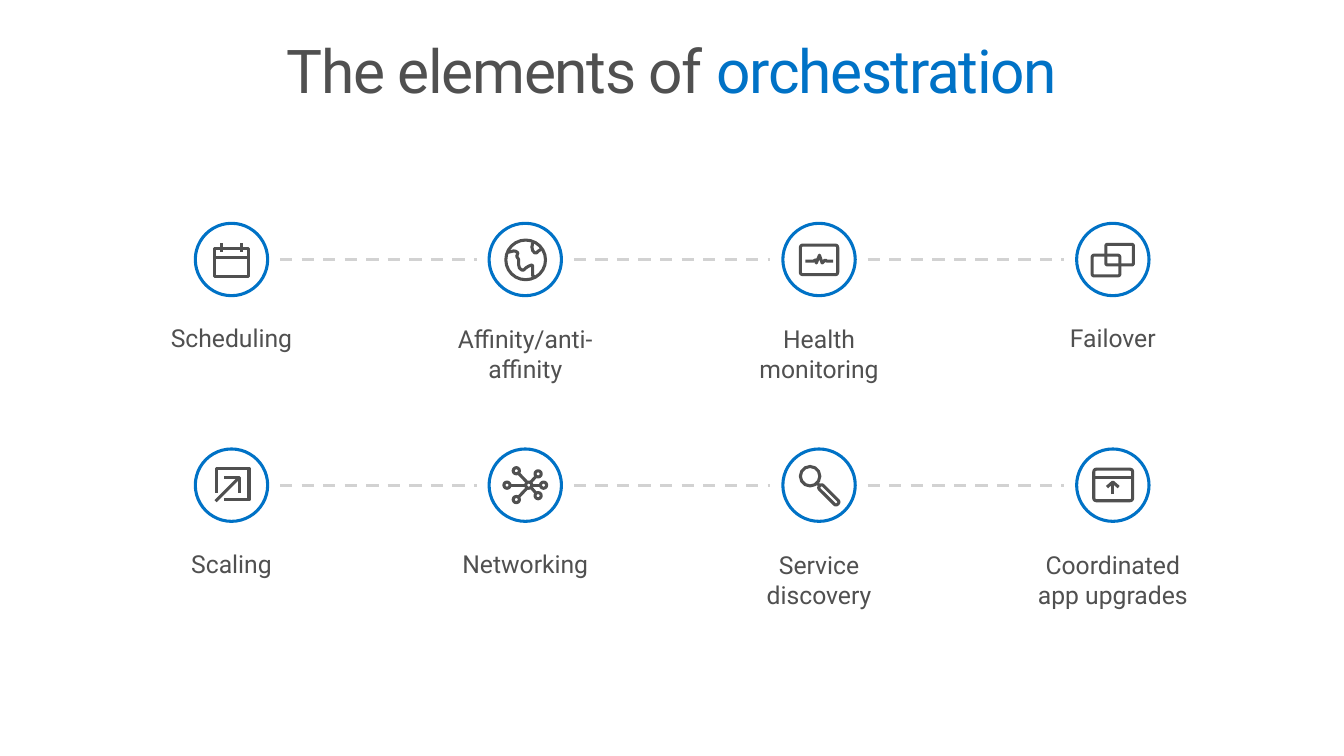
import pptx
import pptx.dml.color
import pptx.enum.dml
import pptx.enum.shapes
import pptx.enum.text
import pptx.util
from lxml import etree

Cm = pptx.util.Cm
rgb = pptx.dml.color.RGBColor.from_string
SHAPES = pptx.enum.shapes.MSO_SHAPE
GRAY, BLUE, PALE = "505050", "0072C6", "D2D2D2"
FIRST_X, PITCH_X = 5.95, 7.55
FIRST_Y, PITCH_Y = 6.67, 5.8
DIAMETER = 1.86
LINE_GAP = 1.25


def add_text(runs, left, top, width, height, size, inset_y=0.41, line_spacing=1, tracking=0):
    """Add a centred text box; runs is a list of (text, colour)."""
    box = slide.shapes.add_textbox(Cm(left), Cm(top), Cm(width), Cm(height))
    frame = box.text_frame
    frame.word_wrap = True
    frame.margin_left = frame.margin_right = Cm(0.41)
    frame.margin_top = frame.margin_bottom = Cm(inset_y)
    paragraph = frame.paragraphs[0]
    paragraph.alignment = pptx.enum.text.PP_ALIGN.CENTER
    paragraph.line_spacing = line_spacing
    for text, color in runs:
        run = paragraph.add_run()
        run.text = text
        run.font.name = "Roboto"
        run.font.size = pptx.util.Pt(size)
        run.font.color.rgb = rgb(color)
        if tracking:
            run.font._element.set("spc", str(tracking))


def set_outline(shape, color, dash=None):
    """Give a shape or connector a plain line without shadow."""
    shape.line.color.rgb = rgb(color)
    shape.line.width = pptx.util.Pt(2.25)
    if dash:
        shape.line.dash_style = dash
    properties = shape._element.spPr
    etree.SubElement(properties, pptx.oxml.ns.qn("a:effectLst"))


# Icon parts are in cm from the circle's centre:
# boxes are (preset, left, top, width, height, rotation), strokes are lists of points.
calendar = [
    (SHAPES.RECTANGLE, -0.43, -0.29, 0.86, 0.74, 0),
    [(-0.25, -0.42), (-0.25, -0.19)],
    [(0.25, -0.42), (0.25, -0.19)],
    [(-0.43, -0.06), (0.43, -0.06)],
]
globe = [
    (SHAPES.OVAL, -0.5, -0.5, 1.02, 1.02, 0),
    [(0.24, 0.44), (0.19, 0.42), (0.19, 0.17), (0.17, 0.14), (0.09, 0.17), (0.01, 0.22),
     (-0.04, 0.27), (-0.09, 0.27), (-0.15, 0.22), (-0.17, 0.14), (-0.17, 0), (-0.22, -0.08),
     (-0.19, -0.17), (-0.24, -0.21), (-0.3, -0.22), (-0.42, -0.19), (-0.44, -0.24)],
    [(0.42, -0.27), (0.34, -0.22), (0.29, -0.17), (0.24, -0.17), (0.19, -0.23),
     (0.17, -0.32), (0.19, -0.42), (0.17, -0.44)],
]
monitor = [
    (SHAPES.ROUNDED_RECTANGLE, -0.48, -0.37, 0.96, 0.76, 0),
    [(-0.35, 0.04), (-0.14, 0.04), (-0.09, 0.01), (-0.07, 0.09), (0.01, -0.11),
     (0.08, 0.09), (0.16, 0.01), (0.19, 0.04), (0.36, 0.04)],
]
windows = [
    (SHAPES.ROUNDED_RECTANGLE, -0.18, -0.39, 0.71, 0.53, 0),
    (SHAPES.ROUNDED_RECTANGLE, -0.53, -0.11, 0.71, 0.53, 0),
]
scale_arrow = [
    [(0.2, 0.2), (0.2, -0.2), (-0.2, -0.2)],
    [(-0.19, 0.38), (0.45, 0.38), (0.45, -0.43), (-0.39, -0.43), (-0.39, 0.2)],
    [(0.2, -0.2), (-0.41, 0.41)],
]
node_centers = [(0.09, 0), (0.47, 0), (-0.47, 0),
                (0.33, 0.27), (-0.23, 0.37), (0.33, -0.29), (-0.23, -0.37)]
network = [(SHAPES.OVAL, x - 0.08, y - 0.08, 0.16, 0.16, 0) for x, y in node_centers] + [
    [(0.39, 0), (0.17, 0)],
    [(0.01, 0), (-0.39, 0)],
    [(-0.17, 0.3), (0.04, 0.08)],
    [(0.14, 0.05), (0.27, 0.2)],
    [(-0.17, -0.3), (0.04, -0.08)],
    [(0.14, -0.08), (0.28, -0.23)],
]
magnifier = [
    (SHAPES.OVAL, -0.48, -0.48, 0.5, 0.5, 0),
    (SHAPES.ROUNDED_RECTANGLE, -0.08, 0.18, 0.66, 0.14, 45),
    [(-0.05, -0.05), (0.03, 0.03)],
]
upload_window = [
    (SHAPES.ROUNDED_RECTANGLE, -0.49, -0.41, 1, 0.81, 0),
    [(-0.49, -0.2), (0.51, -0.2)],
    [(0, 0.23), (0, -0.08)],
    [(-0.15, 0.05), (0, -0.08), (0.15, 0.05)],
]

# Label, label width, icon
rows = [
    [("Scheduling", 4.6, calendar), ("Affinity/anti-affinity", 5.72, globe),
     ("Health monitoring", 4.6, monitor), ("Failover", 4.6, windows)],
    [("Scaling", 4.6, scale_arrow), ("Networking", 5.72, network),
     ("Service discovery", 4.6, magnifier), ("Coordinated app upgrades", 5.13, upload_window)],
]

presentation = pptx.Presentation()
presentation.slide_width = Cm(34.54)
presentation.slide_height = Cm(19.43)
slide = presentation.slides.add_slide(presentation.slide_layouts[6])
straight = pptx.enum.shapes.MSO_CONNECTOR.STRAIGHT

add_text([("The elements of ", GRAY), ("orchestration", BLUE)], 0.76, 0.81, 33.02, 2.54,
         size=44, inset_y=0.25, line_spacing=0.9, tracking=-100)

for row_index, row in enumerate(rows):
    center_y = FIRST_Y + row_index * PITCH_Y
    for column, (label, label_width, icon) in enumerate(row):
        center_x = FIRST_X + column * PITCH_X
        add_text([(label, GRAY)], center_x - label_width / 2, center_y + 1.25,
                 label_width, 2.36, size=18)
        if column:
            dashes = slide.shapes.add_connector(
                straight, Cm(center_x - PITCH_X + LINE_GAP), Cm(center_y),
                Cm(center_x - LINE_GAP), Cm(center_y))
            set_outline(dashes, PALE, pptx.enum.dml.MSO_LINE.DASH)

        circle = slide.shapes.add_shape(
            SHAPES.OVAL, Cm(center_x - DIAMETER / 2), Cm(center_y - DIAMETER / 2),
            Cm(DIAMETER), Cm(DIAMETER))
        circle.fill.solid()
        circle.fill.fore_color.rgb = rgb("FFFFFF")
        set_outline(circle, BLUE)

        for part in icon:
            if isinstance(part, tuple):
                preset, left, top, width, height, rotation = part
                shape = slide.shapes.add_shape(
                    preset, Cm(center_x + left), Cm(center_y + top), Cm(width), Cm(height))
                shape.rotation = rotation
                shape.fill.background()
                if preset == SHAPES.ROUNDED_RECTANGLE:
                    shape.adjustments[0] = 0.4 if rotation else 0.08
            else:
                points = [(Cm(center_x + x), Cm(center_y + y)) for x, y in part]
                if len(points) == 2:
                    shape = slide.shapes.add_connector(straight, *points[0], *points[1])
                else:
                    builder = slide.shapes.build_freeform(*points[0])
                    builder.add_line_segments(points[1:], close=False)
                    shape = builder.convert_to_shape()
                    shape.fill.background()
            set_outline(shape, GRAY)

presentation.save("out.pptx")
